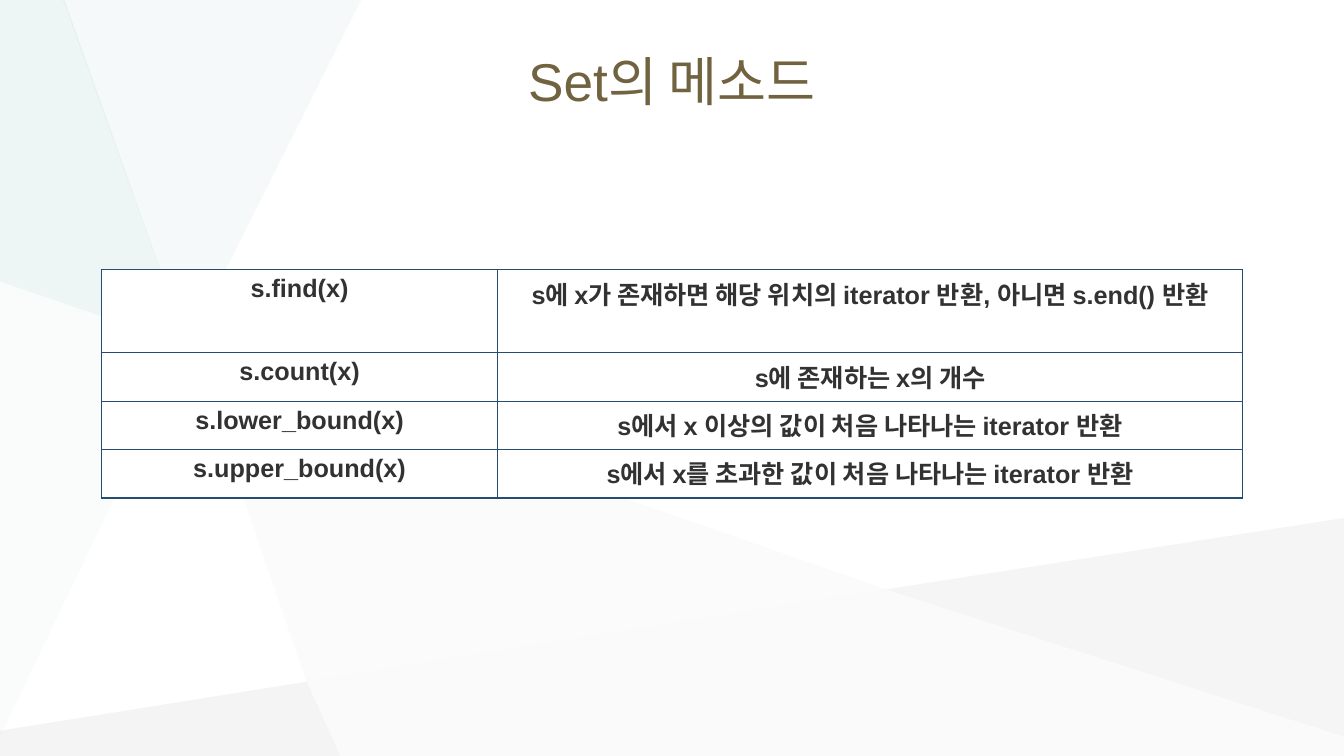
from lxml import etree
from pptx import Presentation
from pptx.dml.color import RGBColor
from pptx.enum import text
from pptx.oxml.ns import qn
from pptx.util import Pt

WHITE = RGBColor(0xFF, 0xFF, 0xFF)
BROWN = RGBColor(0x71, 0x63, 0x40)
DARK = RGBColor(0x32, 0x32, 0x32)
NAVY = RGBColor(0x26, 0x4C, 0x72)
WARM = RGBColor(0xF3, 0xF2, 0xF2)
GREY = RGBColor(0xB6, 0xB8, 0xBA)
PALE = RGBColor(0xC6, 0xC8, 0xCA)
MIST = RGBColor(0xE0, 0xED, 0xED)
TEAL = RGBColor(0xC1, 0xDB, 0xDB)

FONT = "Arial"
WIDTH, HEIGHT = 960, 540

# Corners that neighbouring facets share
APEX = (134.5, 247)
MID = (219, 487)
RIGHT = (633, 421)
LEFT = (0, 201)
FOOT = (243, HEIGHT)
EDGE = (WIDTH, 525.5)

# Colour, opacity in percent, corners
FACETS = [
    (WARM, 26, [(137, 247.5), MID, RIGHT]),
    (GREY, 15, [MID, (0, 522), (0, HEIGHT), FOOT]),
    (MIST, 31, [(257.5, 0), (45, 0), APEX]),
    (PALE, 17, [(WIDTH, 370), RIGHT, EDGE]),
    (GREY, 6, [RIGHT, MID, FOOT, (WIDTH, HEIGHT), EDGE]),
    (TEAL, 27, [(46, 0), (0, 0), LEFT, APEX]),
    (TEAL, 8, [LEFT, (0, 525.5), APEX]),
]

METHODS = [
    ("s.find(x)", "s에 x가 존재하면 해당 위치의 iterator 반환, 아니면 s.end() 반환"),
    ("s.count(x)", "s에 존재하는 x의 개수"),
    ("s.lower_bound(x)", "s에서 x 이상의 값이 처음 나타나는 iterator 반환"),
    ("s.upper_bound(x)", "s에서 x를 초과한 값이 처음 나타나는 iterator 반환"),
]
COLS = (283, 532)
ROWS = (59.3, 34.6, 34.6, 34.6)  # the first row holds two lines


def add_facet(slide, color, alpha, pts):
    pen = slide.shapes.build_freeform(*pts[0], scale=Pt(1))
    pen.add_line_segments(pts[1:], close=True)
    facet = pen.convert_to_shape()
    facet.shadow.inherit = False
    facet.line.fill.background()
    facet.fill.solid()
    facet.fill.fore_color.rgb = color
    tint = facet._element.spPr.find(".//" + qn("a:srgbClr"))
    etree.SubElement(tint, qn("a:alpha"), val=str(alpha * 1000))


def set_text(frame, words, size, color, bold=False):
    frame.word_wrap = True
    para = frame.paragraphs[0]
    para.text = words
    para.alignment = text.PP_ALIGN.CENTER
    font = para.font
    font.name, font.size, font.bold = FONT, Pt(size), bold
    font.color.rgb = color


def add_title(slide, words):
    box = slide.shapes.add_textbox(Pt(35), Pt(20), Pt(890), Pt(74))
    set_text(box.text_frame, words, 38, BROWN)
    box.text_frame.vertical_anchor = text.MSO_ANCHOR.MIDDLE


def set_border(cell):
    """Draw all four edges; they must come before the cell fill in the XML."""
    props = cell._tc.get_or_add_tcPr()
    for i, side in enumerate(("lnL", "lnR", "lnT", "lnB")):
        edge = etree.Element(qn("a:" + side), w=str(Pt(1)))
        fill = etree.SubElement(edge, qn("a:solidFill"))
        etree.SubElement(fill, qn("a:srgbClr"), val=str(NAVY))
        props.insert(i, edge)


def add_grid(slide, rows):
    frame = slide.shapes.add_table(len(rows), len(COLS), Pt(72.5), Pt(192.7),
                                   Pt(sum(COLS)), Pt(sum(ROWS)))
    table = frame.table
    table.first_row = table.horz_banding = False
    for col, width in zip(table.columns, COLS):
        col.width = Pt(width)
    for row, height, words in zip(table.rows, ROWS, rows):
        row.height = Pt(height)
        for cell, word in zip(row.cells, words):
            set_text(cell.text_frame, word, 18, DARK, bold=True)
            cell.fill.solid()
            cell.fill.fore_color.rgb = WHITE
            set_border(cell)


def main():
    deck = Presentation()
    deck.slide_width, deck.slide_height = Pt(WIDTH), Pt(HEIGHT)
    slide = deck.slides.add_slide(deck.slide_layouts[6])
    for facet in FACETS:
        add_facet(slide, *facet)
    add_title(slide, "Set의 메소드")
    add_grid(slide, METHODS)
    deck.save("out.pptx")


if __name__ == "__main__":
    main()
